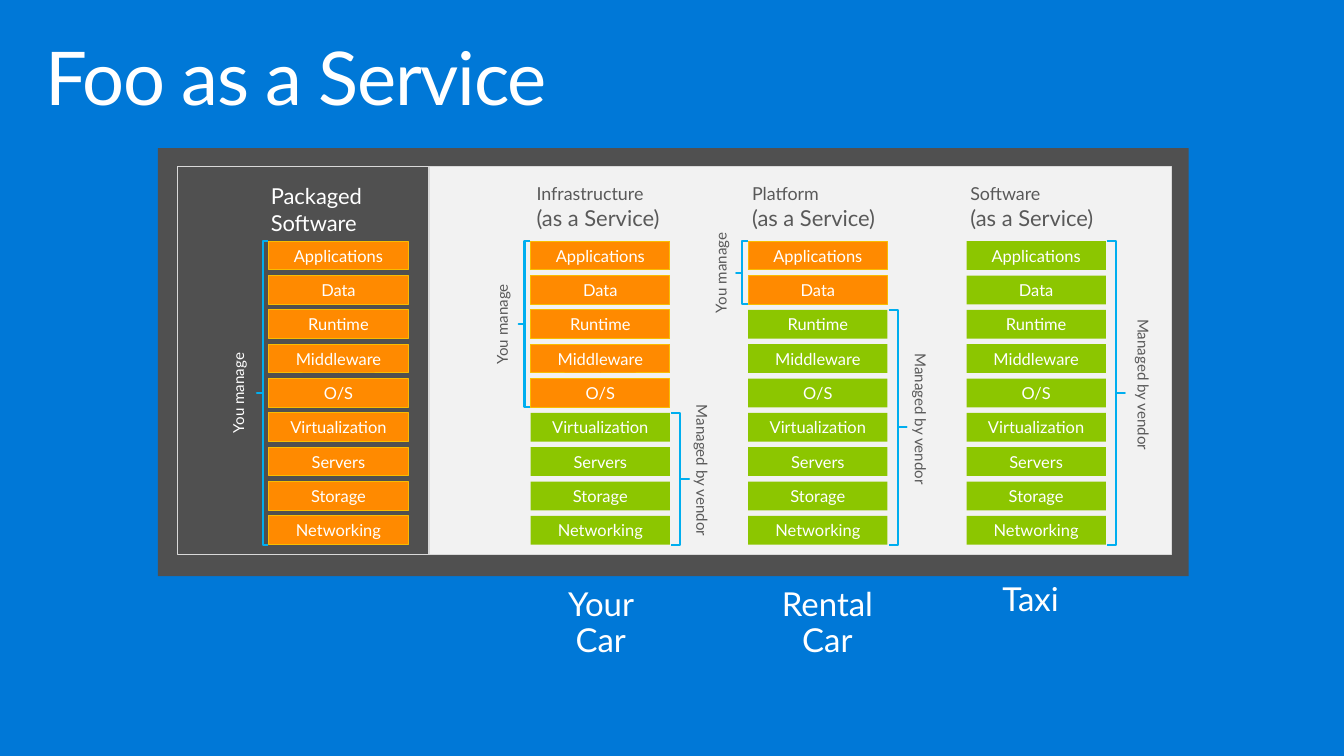
from pptx import Presentation
from pptx.dml.color import RGBColor
from pptx.enum.shapes import MSO_SHAPE
from pptx.enum.text import MSO_ANCHOR, MSO_AUTO_SIZE, PP_ALIGN
from pptx.util import Cm, Pt

BLUE = RGBColor(0x00, 0x78, 0xD7)
WHITE = RGBColor(0xFF, 0xFF, 0xFF)
DARK = RGBColor(0x50, 0x50, 0x50)
LIGHT = RGBColor(0xF2, 0xF2, 0xF2)
SILVER = RGBColor(0xD9, 0xD9, 0xD9)
GREY = RGBColor(0x59, 0x59, 0x59)
ORANGE = RGBColor(0xFF, 0x8A, 0x00)
AMBER = RGBColor(0xF9, 0xBC, 0x00)
GREEN = RGBColor(0x8C, 0xC6, 0x00)
CYAN = RGBColor(0x00, 0xAE, 0xEF)

# Content
TITLE = "Foo as a Service"
LAYERS = ["Applications", "Data", "Runtime", "Middleware", "O/S",
          "Virtualization", "Servers", "Storage", "Networking"]
YOURS, VENDORS = "You manage", "Managed by vendor"

# Left edge, heading lines with sizes, heading indent, text colour, layers you
# manage, distance of each side label from the stack (cm)
STACKS = [
    (6.91, [("Packaged Software", 16)], 0.05, WHITE, 9, 0.79, 0),
    (13.64, [("Infrastructure", 13), ("(as a Service)", 16)], 0.15, GREY, 5, 0.74, 0.83),
    (19.23, [("Platform", 13), ("(as a Service)", 16)], 0.1, GREY, 2, 0.71, 0.86),
    (24.84, [("Software", 13), ("(as a Service)", 16)], 0.1, GREY, 0, 0, 0.97),
]

# Text, left, top, width, height, alignment
CAPTIONS = [
    ("Your Car", 14.07, 14.71, 2.74, 2.67, PP_ALIGN.CENTER),
    ("Rental Car", 19.51, 14.71, 3.51, 2.67, PP_ALIGN.CENTER),
    ("Taxi", 25.25, 14.58, 2.74, 1.75, PP_ALIGN.LEFT),
]

# Left, top, width, height, fill, line
PANELS = [
    (4.06, 3.81, 26.49, 11, DARK, None),
    (11.02, 4.27, 19.08, 9.98, LIGHT, SILVER),
    (4.55, 4.27, 6.48, 9.98, None, SILVER),
]

# Layer grid (cm)
LAYER_WIDTH, LAYER_HEIGHT = 3.58, 0.74
FIRST_TOP, LAST_TOP = 6.2, 13.26
STEP = (LAST_TOP - FIRST_TOP) / (len(LAYERS) - 1)
LABEL_WIDTH, LABEL_HEIGHT = 0.8, 3.8


def apply(target, values):
    for name, value in values.items():
        setattr(target, name, value)


def write(box, lines, color, align=PP_ALIGN.LEFT, anchor=MSO_ANCHOR.TOP,
          margins=(0, 0), spacing=None):
    frame = box.text_frame
    across, down = (Cm(margin) for margin in margins)
    apply(frame, {"word_wrap": True, "auto_size": MSO_AUTO_SIZE.NONE,
                  "vertical_anchor": anchor,
                  "margin_left": across, "margin_right": across,
                  "margin_top": down, "margin_bottom": down})
    for index, (text, size) in enumerate(lines):
        para = frame.add_paragraph() if index else frame.paragraphs[0]
        apply(para, {"alignment": align, "line_spacing": spacing})
        span = para.add_run()
        span.text = text
        apply(span.font, {"name": "Lato", "size": Pt(size)})
        span.font.color.rgb = color
    return frame


def add_box(page, place):
    return page.shapes.add_textbox(*map(Cm, place))


def add_figure(page, kind, place, fill=None, line=None, weight=0.75):
    figure = page.shapes.add_shape(kind, *map(Cm, place))
    figure.shadow.inherit = False
    if fill is None:
        figure.fill.background()
    else:
        figure.fill.solid()
        figure.fill.fore_color.rgb = fill
    if line is None:
        figure.line.fill.background()
    else:
        figure.line.color.rgb = line
        figure.line.width = Pt(weight)
    return figure


def add_bracket(page, left, first, count, yours, distance, color):
    """Bracket `count` layers from `first` and label them beside the stack."""
    top = FIRST_TOP + first * STEP
    height = (count - 1) * STEP + LAYER_HEIGHT
    right = left + LAYER_WIDTH
    if yours:
        kind, start, width = MSO_SHAPE.LEFT_BRACE, left - 0.31, 0.3
        center, text, turn = left - distance, YOURS, "vert270"
    else:
        kind, start, width = MSO_SHAPE.RIGHT_BRACE, right + 0.03, 0.46
        center, text, turn = right + distance, VENDORS, "eaVert"
    brace = add_figure(page, kind, (start, top, width, height), line=CYAN, weight=1.5)
    brace.adjustments[0], brace.adjustments[1] = 0, 0.5
    label = add_box(page, (center - LABEL_WIDTH / 2, top + (height - LABEL_HEIGHT) / 2,
                           LABEL_WIDTH, LABEL_HEIGHT))
    frame = write(label, [(text, 11)], color, PP_ALIGN.CENTER, MSO_ANCHOR.MIDDLE)
    frame._txBody.bodyPr.set("vert", turn)


def add_stack(page, left, heading, indent, color, managed, near, far):
    write(add_box(page, (left + indent, 4.7, 4.09, 1.24)), heading, color)
    for row, layer in enumerate(LAYERS):
        fill, line = (ORANGE, AMBER) if row < managed else (GREEN, None)
        place = (left, FIRST_TOP + row * STEP, LAYER_WIDTH, LAYER_HEIGHT)
        box = add_figure(page, MSO_SHAPE.RECTANGLE, place, fill, line)
        write(box, [(layer, 12)], WHITE, PP_ALIGN.CENTER, MSO_ANCHOR.MIDDLE)
    if managed:
        add_bracket(page, left, 0, managed, True, near, color)
    if managed < len(LAYERS):
        add_bracket(page, left, managed, len(LAYERS) - managed, False, far, color)


def main():
    deck = Presentation()
    apply(deck, {"slide_width": Cm(34.54), "slide_height": Cm(19.43)})
    page = deck.slides.add_slide(deck.slide_layouts[5])
    page.background.fill.solid()
    page.background.fill.fore_color.rgb = BLUE

    # Title
    title = page.shapes.title
    apply(title, {"left": Cm(0.76), "top": Cm(0.81),
                  "width": Cm(33.02), "height": Cm(2.54)})
    frame = write(title, [(TITLE, 54)], WHITE, margins=(0.41, 0.25), spacing=0.9)
    frame.paragraphs[0].runs[0].font._element.set("spc", "-100")

    # Panels behind the stacks
    for *place, fill, line in PANELS:
        add_figure(page, MSO_SHAPE.RECTANGLE, place, fill, line)

    # Service stacks
    for stack in STACKS:
        add_stack(page, *stack)

    # Captions below the panel
    for text, *place, align in CAPTIONS:
        write(add_box(page, place), [(text, 24)], WHITE, align,
              margins=(0.51, 0.41), spacing=0.9)

    deck.save("out.pptx")


if __name__ == "__main__":
    main()
